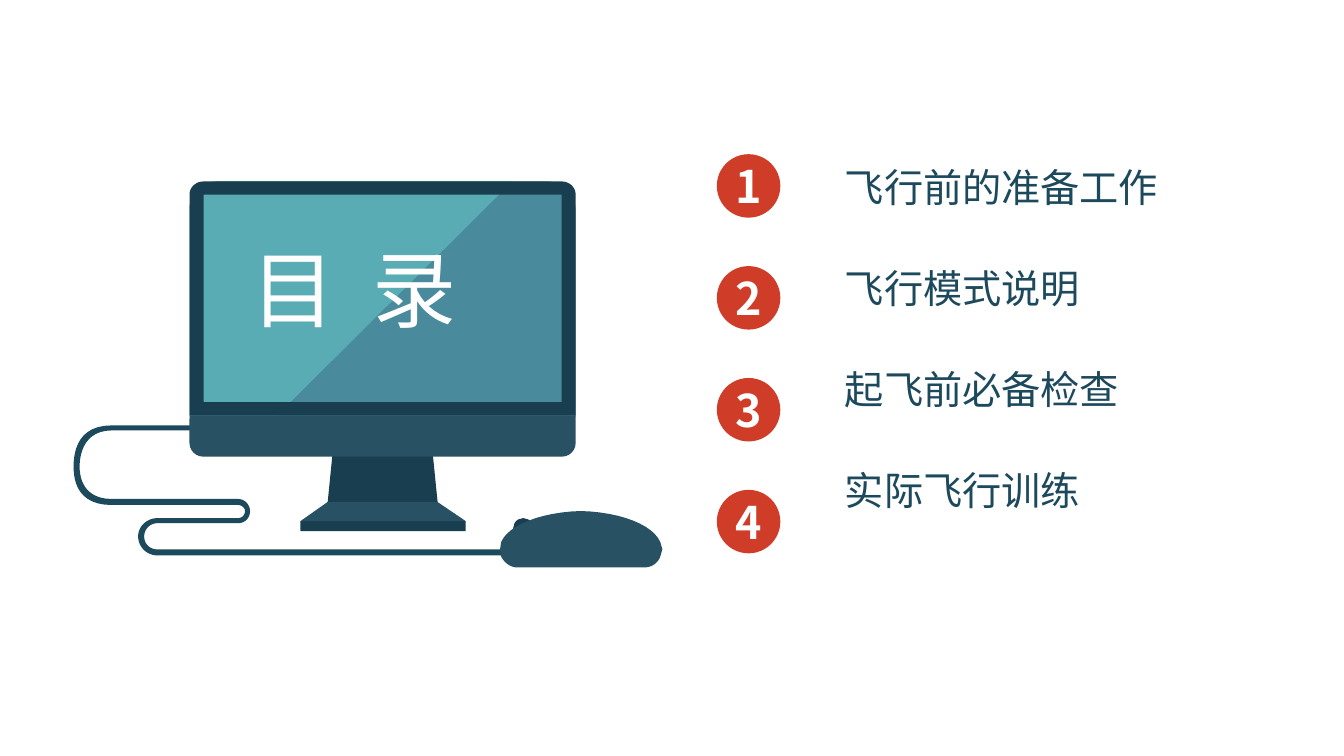
from lxml.etree import SubElement
from pptx import Presentation
from pptx.dml.color import RGBColor
from pptx.enum.shapes import MSO_SHAPE as Shape
from pptx.enum.text import MSO_ANCHOR as Anchor, MSO_AUTO_SIZE as AutoSize, PP_ALIGN as Align
from pptx.oxml.ns import qn
from pptx.util import Inches, Pt

COLORS = {
    "navy": "193E4F", "slate": "285164", "ink": "1D495D", "screen": "498B9C",
    "glare": "59ACB4", "red": "CF3C27", "white": "FFFFFF",
}
HEAD_FONT, LIST_FONT = "Noto Sans CJK SC", "Noto Sans CJK JP"
CURVE_STEPS = 12


def trace(contour):
    """Turn points (x, y) and cubic curves (x1, y1, x2, y2, x, y) into points."""
    points = []
    for step in contour:
        if len(step) == 2:
            points.append(step)
            continue
        controls = [points[-1], step[:2], step[2:4], step[4:]]
        for index in range(1, CURVE_STEPS + 1):
            t = index / CURVE_STEPS
            weights = ((1 - t) ** 3, 3 * t * (1 - t) ** 2, 3 * t * t * (1 - t), t ** 3)
            points.append(tuple(sum(weight * control[axis] for weight, control in zip(weights, controls))
                                for axis in (0, 1)))
    return points


class Deck:
    def __init__(self):
        self.presentation = Presentation()
        self.presentation.slide_width = Inches(13.33)
        self.presentation.slide_height = Inches(7.5)
        self.slide = self.presentation.slides.add_slide(self.presentation.slide_layouts[1])
        self.shapes = self.slide.shapes

    def paint(self, shape, color):
        shape.shadow.inherit = False
        shape.fill.solid()
        shape.fill.fore_color.rgb = RGBColor.from_string(COLORS[color])
        shape.line.fill.background()
        return shape

    def preset(self, kind, box, color, adjustments=()):
        shape = self.shapes.add_shape(kind, *map(Inches, box))
        for index, value in enumerate(adjustments):
            shape.adjustments[index] = value
        return self.paint(shape, color)

    def outline(self, color, *contours):
        traced = [[(Inches(x), Inches(y)) for x, y in trace(contour)] for contour in contours]
        builder = self.shapes.build_freeform(*traced[0][0])
        for number, points in enumerate(traced):
            if number:
                builder.move_to(*points[0])
            builder.add_line_segments(points[1:], close=True)
        return self.paint(builder.convert_to_shape(), color)

    def format_text(self, paragraph, font, size, color, bold=False, align=Align.LEFT):
        paragraph.alignment = align
        for run in paragraph.runs:
            run.font.size, run.font.bold, run.font.name = Pt(size), bold, font
            run.font.color.rgb = RGBColor.from_string(COLORS[color])
            SubElement(run.font._element, qn("a:ea")).set("typeface", font)

    def badge(self, text, box):
        frame = self.preset(Shape.OVAL, box, "red").text_frame
        frame.text = text
        frame.word_wrap = False
        frame.vertical_anchor = Anchor.MIDDLE
        self.format_text(frame.paragraphs[0], HEAD_FONT, 32, "white", True, Align.CENTER)

    def placeholder(self, index, box, text, font, size, color, gap=0):
        shape = self.slide.placeholders[index]
        shape.left, shape.top, shape.width, shape.height = map(Inches, box)
        self.shapes._spTree.append(shape._element)  # bring to front
        frame = shape.text_frame
        frame.text = text
        frame.word_wrap = True
        frame.auto_size = AutoSize.NONE
        frame.vertical_anchor = Anchor.TOP
        for paragraph in frame.paragraphs:
            self.format_text(paragraph, font, size, color)
            paragraph.line_spacing = 1.0
            paragraph.space_before, paragraph.space_after = Pt(0), Pt(gap)
            properties = paragraph._p.get_or_add_pPr()
            properties.set("marL", "0")
            properties.set("indent", "0")
            SubElement(properties, qn("a:buNone"))
        return frame


def main():
    deck = Deck()

    # Mouse and cable
    deck.preset(Shape.OVAL, (5.09, 5.14, 0.2, 0.2), "navy")
    deck.outline("ink", [
        (2.16, 4.22), (1.11, 4.22), (0.79, 4.22, 0.73, 4.45, 0.73, 4.63),
        (0.73, 4.8, 0.79, 5.01, 1.11, 5.01), (2.36, 5.01),
        (2.4, 5.01, 2.43, 5.04, 2.43, 5.07), (2.43, 5.11, 2.4, 5.14, 2.36, 5.14),
        (1.56, 5.14), (1.46, 5.14, 1.37, 5.22, 1.37, 5.32),
        (1.37, 5.43, 1.46, 5.51, 1.56, 5.51), (4.98, 5.51), (4.98, 5.45),
        (1.56, 5.45), (1.49, 5.45, 1.43, 5.4, 1.43, 5.32),
        (1.43, 5.25, 1.49, 5.19, 1.56, 5.19), (2.36, 5.19),
        (2.43, 5.19, 2.48, 5.14, 2.48, 5.07), (2.48, 5.01, 2.43, 4.95, 2.36, 4.95),
        (1.11, 4.95), (0.85, 4.95, 0.79, 4.77, 0.79, 4.63),
        (0.79, 4.48, 0.85, 4.27, 1.11, 4.27), (2.16, 4.27),
    ])
    deck.outline("slate", [
        (4.96, 5.45), (4.97, 5.38), (5.04, 5.21, 5.37, 5.08, 5.76, 5.07),
        (6.16, 5.08, 6.48, 5.21, 6.55, 5.38), (6.57, 5.45), (6.55, 5.52),
        (6.53, 5.58, 6.47, 5.63, 6.39, 5.63), (5.13, 5.63),
        (5.06, 5.63, 5.0, 5.58, 4.97, 5.52),
    ])

    # Stand
    deck.outline("navy", [(4.29, 4.48), (3.3, 4.48), (3.25, 4.98), (4.34, 4.98)])
    deck.preset(Shape.RECTANGLE, (2.98, 5.17, 1.64, 0.1), "navy")

    # Screen, glare, frame and chin
    deck.preset(Shape.ROUND_2_SAME_RECTANGLE, (1.88, 1.8, 3.83, 2.33), "screen", (0.12, 0))
    deck.outline("glare", [
        (5.08, 1.8), (2.16, 1.8), (2.01, 1.8, 1.88, 1.92, 1.88, 2.07), (1.88, 4.12), (2.75, 4.12),
    ])
    deck.outline(
        "navy",
        [(5.57, 1.93), (5.57, 3.99), (2.02, 3.99), (2.02, 1.93)],
        [(5.57, 1.8), (2.02, 1.8), (1.94, 1.8, 1.88, 1.86, 1.88, 1.93), (1.88, 4.12),
         (5.71, 4.12), (5.71, 1.93), (5.71, 1.86, 5.65, 1.8, 5.57, 1.8)],
    )
    deck.preset(Shape.ROUND_2_SAME_RECTANGLE, (1.88, 4.12, 3.83, 0.41), "slate", (0, 0.33))
    deck.outline("slate", [(2.98, 5.17), (3.25, 4.98), (4.34, 4.98), (4.62, 5.17)])

    # Title on the screen, letters spread apart
    title = deck.placeholder(0, (2.39, 2.31, 3.37, 1.11), "目 录", HEAD_FONT, 60, "white")
    title.paragraphs[0].runs[0].font._element.set("spc", "675")

    # Numbered contents
    topics = ["飞行前的准备工作", "飞行模式说明", "起飞前必备检查", "实际飞行训练"]
    for index in range(len(topics)):
        deck.badge(str(index + 1), (7.11, 1.53 + 1.11 * index, 0.63, 0.63))
    deck.placeholder(1, (8.28, 1.57, 4.36, 4.1), "\n".join(topics), LIST_FONT, 28, "ink", 38.5)

    deck.presentation.save("out.pptx")


if __name__ == "__main__":
    main()
